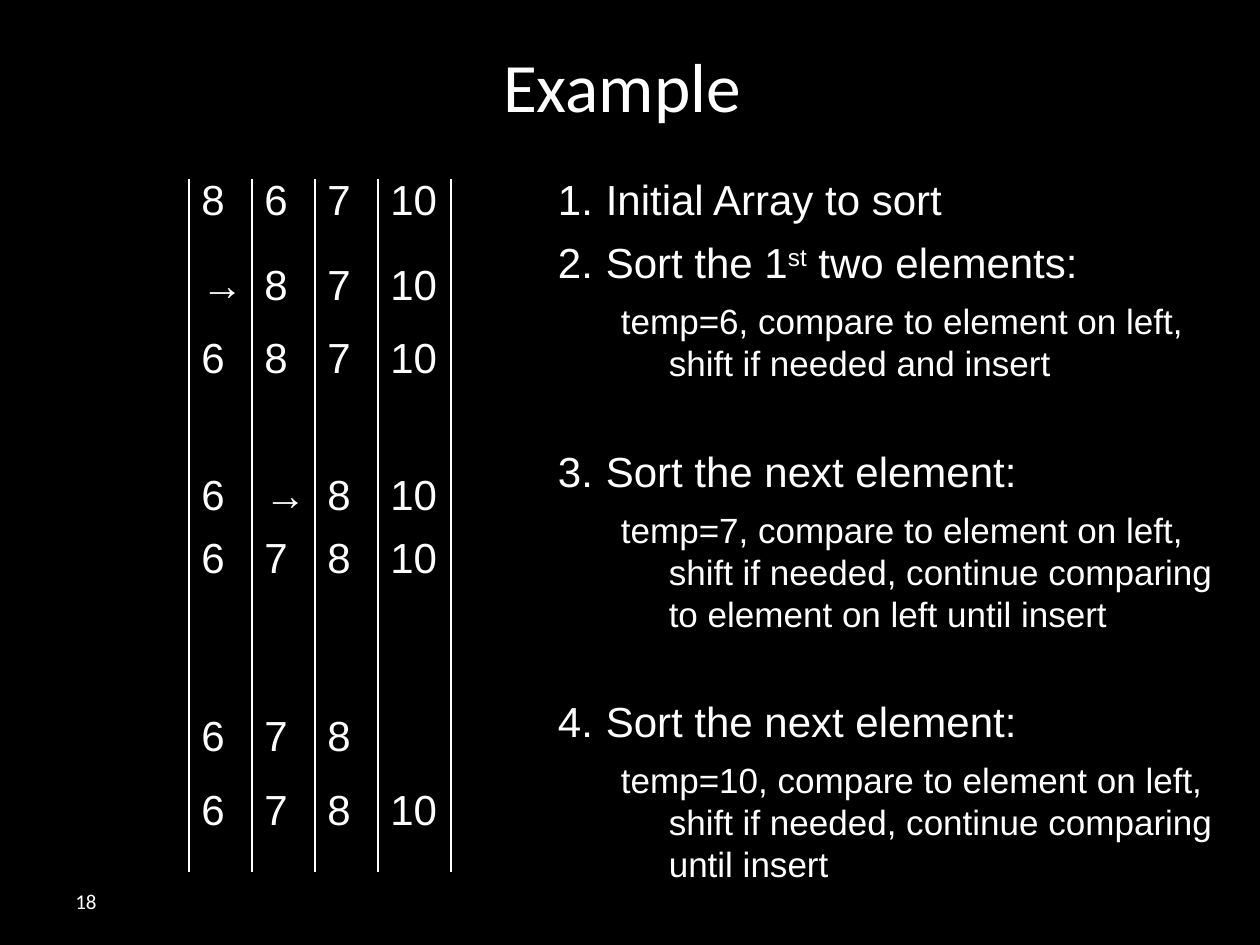
import pptx
import pptx.util
import pptx.dml.color
import pptx.enum.shapes
import pptx.enum.text
import pptx.oxml.ns
from lxml import etree

Inches = pptx.util.Inches
Pt = pptx.util.Pt
COLORS = {"background": "000000", "text": "FFFFFF", "rule": "FFFFFF"}
ARRAY_ROWS = [
    (0, ["8", "6", "7", "10"]),
    (0.67, ["→", "8", "7", "10"]),
    (1.25, ["6", "8", "7", "10"]),
    (2.34, ["6", "→", "8", "10"]),
    (2.84, ["6", "7", "8", "10"]),
    (4.25, ["6", "7", "8"]),
    (4.84, ["6", "7", "8", "10"]),
]
STEPS = [
    (["Initial Array to sort"], None),
    (["Sort the 1", "st", " two elements:"],
     "temp=6, compare to element on left, shift if needed and insert"),
    (["Sort the next element:"],
     "temp=7, compare to element on left, shift if needed, continue comparing "
     "to element on left until insert"),
    (["Sort the next element:"],
     "temp=10, compare to element on left, shift if needed, continue comparing until insert"),
]


def rgb(name):
    """Return the named palette colour."""
    return pptx.dml.color.RGBColor.from_string(COLORS[name])


def add_run(p, text, size=24, font="Arial", color="text", superscript=False):
    """Add formatted text to a paragraph."""
    r = p.add_run()
    r.text = text
    r.font.size = Pt(size)
    r.font.name = font
    r.font.color.rgb = rgb(color)
    if superscript:
        r.font._element.set("baseline", "30000")


def add_box(s, x, y, w, h, middle=False, grow=False):
    """Add a wrapping text box and return its text frame."""
    tf = s.shapes.add_textbox(Inches(x), Inches(y), Inches(w), Inches(h)).text_frame
    tf.word_wrap = True
    if middle:
        tf.vertical_anchor = pptx.enum.text.MSO_ANCHOR.MIDDLE
    if grow:
        tf.auto_size = pptx.enum.text.MSO_AUTO_SIZE.SHAPE_TO_FIT_TEXT
    return tf


def add_title(s, x, y, w, h):
    """Place the centred title."""
    p = add_box(s, x, y, w, h, middle=True).paragraphs[0]
    p.alignment = pptx.enum.text.PP_ALIGN.CENTER
    add_run(p, "Example ", size=39.6, font="Calibri")


def add_slide_number(s, x, y, w, h):
    """Place the slide number."""
    p = add_box(s, x, y, w, h, middle=True).paragraphs[0]
    add_run(p, "18", size=12, font="Calibri")


def add_rule(s, x, top, bottom):
    """Draw a thin vertical rule without shadow."""
    line = s.shapes.add_connector(pptx.enum.shapes.MSO_CONNECTOR.STRAIGHT,
                                  Inches(x), Inches(top), Inches(x), Inches(bottom))
    line.line.color.rgb = rgb("rule")
    line.line.width = Pt(0.75)
    etree.SubElement(line._element.spPr, pptx.oxml.ns.qn("a:effectLst"))


def add_array_states(s, x, y, w, h):
    """Place the array states in columns separated by rules."""
    pitch = 0.5
    for dy, values in ARRAY_ROWS:
        for col, value in enumerate(values):
            tf = add_box(s, x + col * pitch, y + dy, 0.75, 0.5, grow=True)
            add_run(tf.paragraphs[0], value)
    for rule_x in [x + col * pitch for col in range(4)] + [x + w]:
        add_rule(s, rule_x, y + 0.09, y + h)


def format_step(p, margin, after, before=0, level=0, numbered=False):
    """Set the hanging indent, spacing and numbering of a step line."""
    p.level = level
    p.space_before = Pt(before)
    p.space_after = Pt(after)
    pPr = p._p.get_or_add_pPr()
    pPr.set("marL", str(Inches(margin)))
    pPr.set("indent", str(-Inches(0.38)))
    if numbered:
        bullet = etree.SubElement(pPr, pptx.oxml.ns.qn("a:buAutoNum"))
        bullet.set("type", "arabicPeriod")
    else:
        etree.SubElement(pPr, pptx.oxml.ns.qn("a:buNone"))


def add_steps(s, x, y, w, h):
    """Place the numbered steps with their explanations."""
    tf = add_box(s, x, y, w, h, grow=True)
    for i, (heading, detail) in enumerate(STEPS):
        p = tf.add_paragraph() if i else tf.paragraphs[0]
        format_step(p, 0.38, 7.2, before=29 if i > 1 else 0, numbered=True)
        for text in heading:
            add_run(p, text, superscript=text == "st")
        if detail:
            p = tf.add_paragraph()
            format_step(p, 0.88, 6, level=1)
            add_run(p, detail, size=20)


def main():
    """Build and save the slide."""
    prs = pptx.Presentation()
    prs.slide_width, prs.slide_height = Inches(10), Inches(7.5)
    s = prs.slides.add_slide(prs.slide_layouts[6])
    s.background.fill.solid()
    s.background.fill.fore_color.rgb = rgb("background")
    add_slide_number(s, 0.5, 6.95, 2.33, 0.4)
    add_title(s, 0.5, 0.3, 9, 0.75)
    add_array_states(s, 1.5, 1.33, 2.08, 5.59)
    add_steps(s, 4.33, 1.33, 5.5, 6.24)
    prs.save("out.pptx")


if __name__ == "__main__":
    main()
